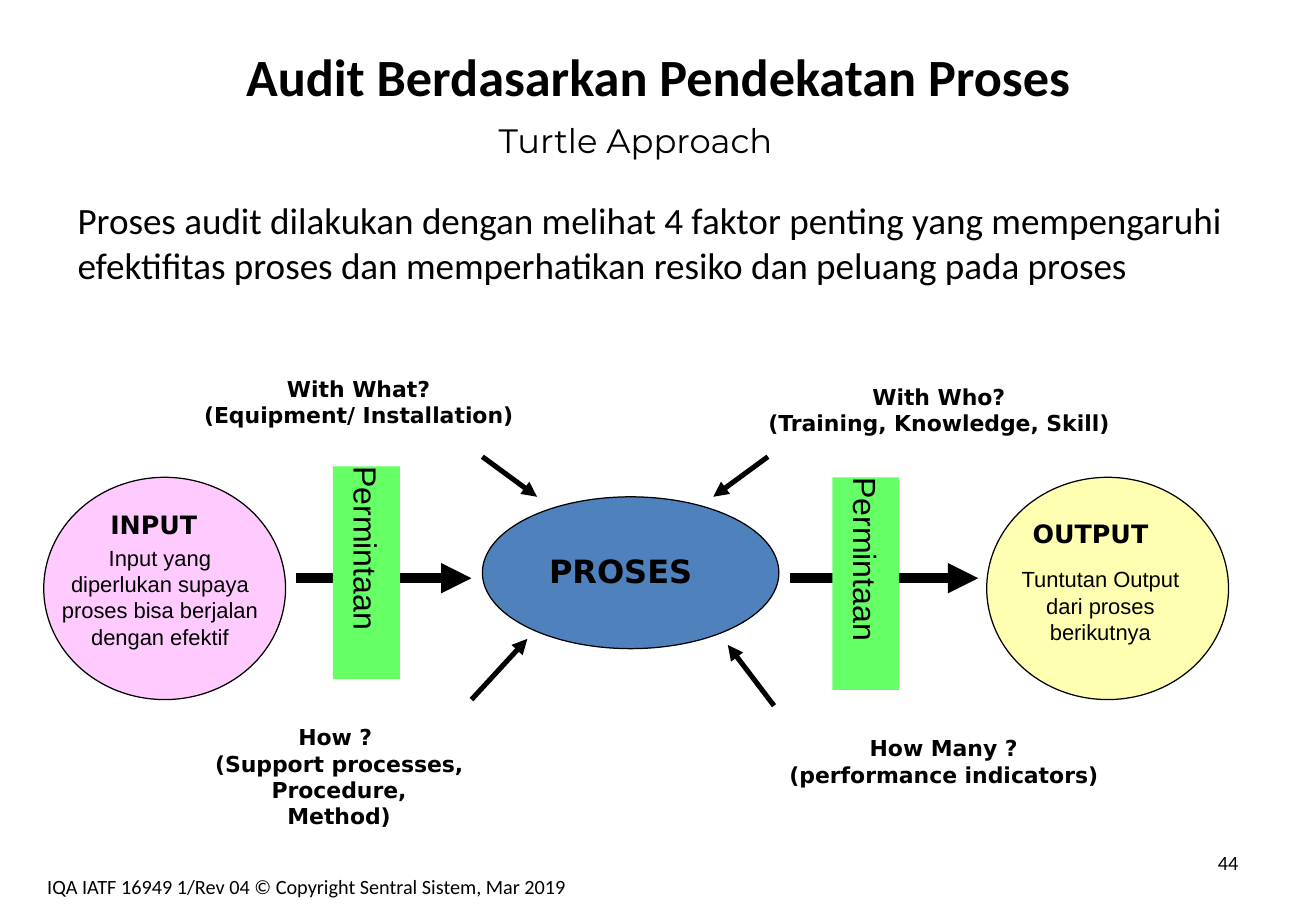
from lxml.etree import SubElement
from pptx import Presentation
from pptx.dml.color import RGBColor
from pptx.enum.shapes import MSO_CONNECTOR, MSO_SHAPE
from pptx.enum.text import MSO_ANCHOR, PP_ALIGN
from pptx.oxml.ns import qn
from pptx.util import Inches, Pt

COLORS = {
    "ink": "000000",
    "input": "FF99FF",
    "output": "FFFF66",
    "process": "4F81BD",
    "request": "66FF66",
}
LEFT, CENTER, RIGHT = PP_ALIGN.LEFT, PP_ALIGN.CENTER, PP_ALIGN.RIGHT


def rgb(name):
    return RGBColor.from_string(COLORS[name])


def write(frame, text, font, size, bold=False, align=LEFT, wrap=True):
    frame.word_wrap = wrap
    frame.text = text
    for paragraph in frame.paragraphs:
        paragraph.alignment = align
        for run in paragraph.runs:
            run.font.name = font
            run.font.size = Pt(size)
            run.font.bold = bold
            run.font.color.rgb = rgb("ink")


def add_text(slide, box, text, font, size, anchor=MSO_ANCHOR.TOP, **style):
    frame = slide.shapes.add_textbox(*map(Inches, box)).text_frame
    frame.vertical_anchor = anchor
    write(frame, text, font, size, **style)


def add_filled(slide, preset, box, color):
    shape = slide.shapes.add_shape(preset, *map(Inches, box))
    shape.shadow.inherit = False
    shape.fill.solid()
    shape.fill.fore_color.rgb = rgb(color)
    return shape


def add_ellipse(slide, box, color, opacity=100):
    ellipse = add_filled(slide, MSO_SHAPE.OVAL, box, color)
    ellipse.line.color.rgb = rgb("ink")
    ellipse.line.width = Pt(0.75)
    if opacity < 100:
        fill_color = ellipse._element.spPr.find(qn("a:solidFill"))[0]
        SubElement(fill_color, qn("a:alpha"), val=str(opacity * 1000))


def add_request(slide, left, top):
    """Green bar with text that runs downwards."""
    bar = add_filled(slide, MSO_SHAPE.RECTANGLE, (left, top, 0.55, 1.75), "request")
    bar.line.fill.background()
    frame = bar.text_frame
    write(frame, "Permintaan", "Arial", 19)
    frame.vertical_anchor = MSO_ANCHOR.MIDDLE
    frame.margin_left = Inches(0.05)
    frame.margin_top = Inches(0)
    frame._txBody.bodyPr.set("vert", "eaVert")


def add_arrow(slide, start, end, width):
    arrow = slide.shapes.add_connector(
        MSO_CONNECTOR.STRAIGHT, *map(Inches, start + end))
    arrow.line.color.rgb = rgb("ink")
    arrow.line.width = Pt(width)
    SubElement(arrow.line._get_or_add_ln(), qn("a:tailEnd"), type="triangle")
    SubElement(arrow._element.spPr, qn("a:effectLst"))


def main():
    deck = Presentation()
    deck.slide_width, deck.slide_height = Inches(10.83), Inches(7.5)
    slide = deck.slides.add_slide(deck.slide_layouts[6])

    # Heading and introduction
    add_text(slide, (0.54, 0, 9.75, 1.25), "Audit Berdasarkan Pendekatan Proses",
             "Calibri", 31, anchor=MSO_ANCHOR.MIDDLE, bold=True, align=CENTER)
    add_text(slide, (3.88, 0.94, 2.7, 0.4), "Turtle Approach",
             "Montserrat", 20, align=CENTER, wrap=False)
    add_text(slide, (0.54, 1.58, 9.75, 1),
             "Proses audit dilakukan dengan melihat 4 faktor penting yang "
             "mempengaruhi efektifitas proses dan memperhatikan resiko dan "
             "peluang pada proses", "Calibri", 22)

    # Input, process and output
    add_ellipse(slide, (0.36, 3.93, 1.99, 1.83), "input", opacity=50)
    add_ellipse(slide, (8.12, 3.93, 1.99, 1.83), "output", opacity=50)
    add_ellipse(slide, (3.97, 4.09, 2.44, 1.25), "process")
    for box, name, size in [
        ((4.42, 4.49, 1.6, 0.41), "PROSES", 19),
        ((0.81, 4.14, 1.2, 0.34), "INPUT", 15),
        ((8.4, 4.22, 1.4, 0.34), "OUTPUT", 15),
    ]:
        add_text(slide, box, name, "DejaVu Sans", size, bold=True)
    for box, detail in [
        ((0.41, 4.43, 1.81, 1.19),
         "Input yang diperlukan supaya proses bisa berjalan dengan efektif"),
        ((8.15, 4.61, 1.81, 0.75), "Tuntutan Output dari proses berikutnya"),
    ]:
        add_text(slide, box, detail, "Arial", 13, align=CENTER)

    # Main flow, then the four factors pointing at the process
    for start, end, width in [
        ((2.44, 4.76), (3.88, 4.76), 6),
        ((6.5, 4.76), (8.05, 4.76), 6),
        ((3.97, 3.76), (4.42, 4.09), 3),
        ((6.32, 3.76), (5.87, 4.09), 3),
        ((3.88, 5.76), (4.34, 5.26), 3),
        ((6.37, 5.81), (5.99, 5.31), 3),
    ]:
        add_arrow(slide, start, end, width)
    add_request(slide, 2.74, 3.84)
    add_request(slide, 6.85, 3.93)

    # Factor questions
    for box, question in [
        ((1.53, 3.04, 2.84, 0.53), "With What?\n(Equipment/ Installation)"),
        ((6.2, 3.11, 3.05, 0.53), "With Who?\n(Training, Knowledge, Skill)"),
        ((1.64, 5.91, 2.3, 0.96),
         "How ? \n(Support processes, \nProcedure,\nMethod)"),
        ((6.39, 6, 2.75, 0.53), "How Many ?\n(performance indicators)"),
    ]:
        add_text(slide, box, question, "DejaVu Sans", 13,
                 bold=True, align=CENTER, wrap=False)

    # Footer
    add_text(slide, (7.76, 6.95, 2.53, 0.4), "44", "Calibri", 12, align=RIGHT)
    add_text(slide, (0.29, 7.15, 5.99, 0.4),
             "IQA IATF 16949 1/Rev 04 © Copyright Sentral Sistem, Mar 2019",
             "Calibri", 12)

    deck.save("out.pptx")


if __name__ == "__main__":
    main()
